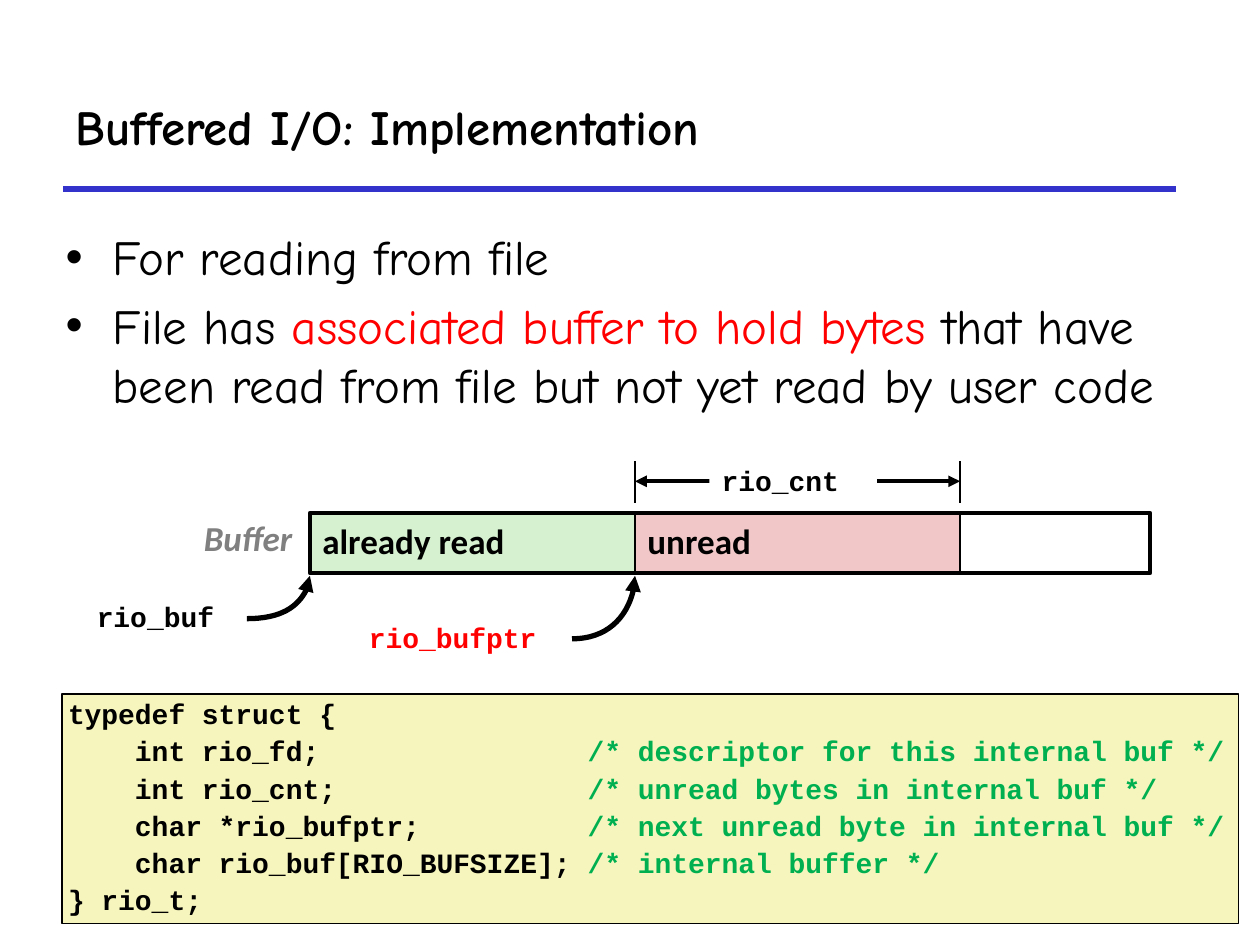
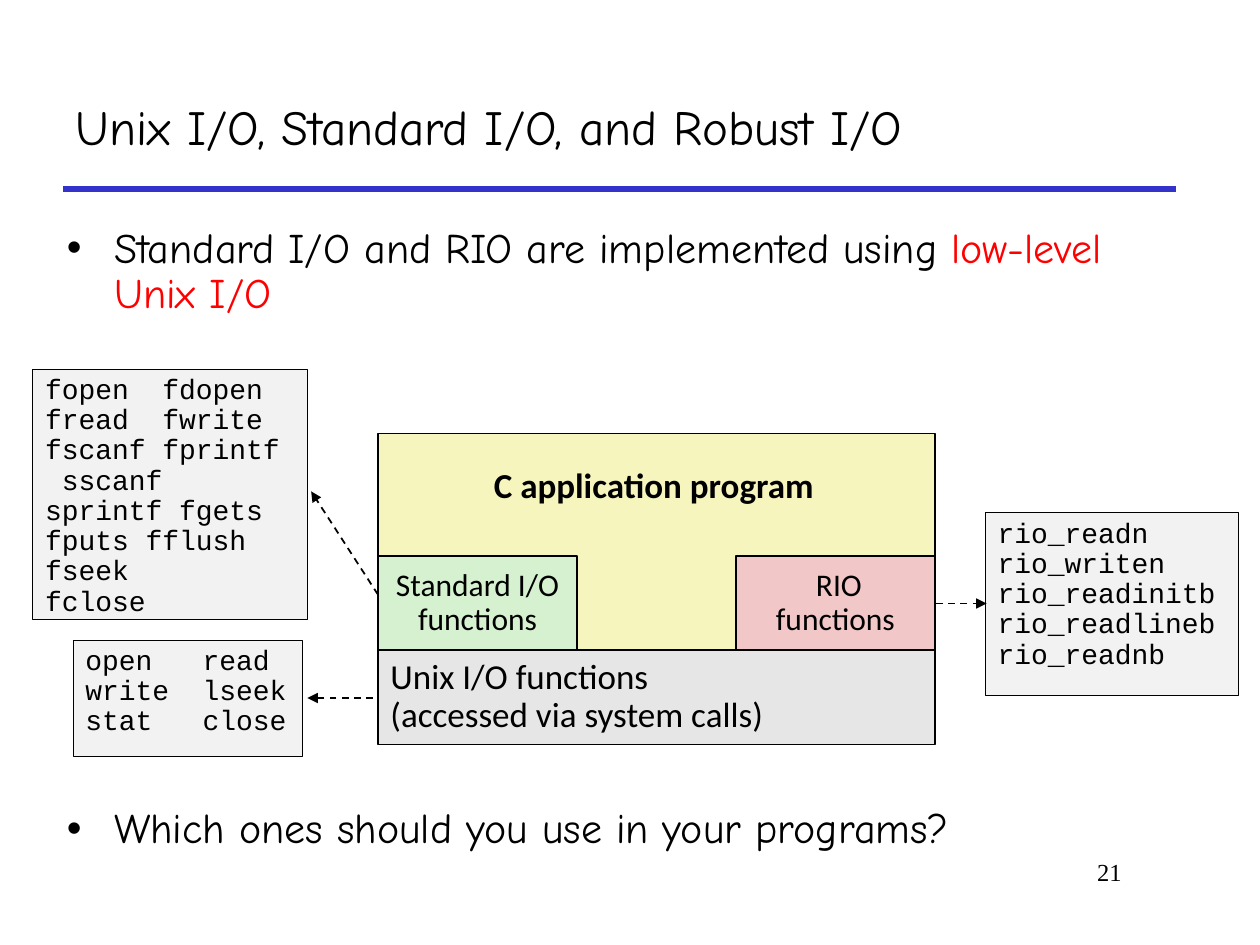
from lxml import etree
from pptx import Presentation
from pptx.dml.color import RGBColor
from pptx.enum.dml import MSO_LINE
from pptx.enum.shapes import MSO_CONNECTOR, MSO_SHAPE
from pptx.enum.text import MSO_ANCHOR, MSO_AUTO_SIZE, PP_ALIGN
from pptx.oxml.ns import qn
from pptx.util import Inches, Pt

STRAIGHT = MSO_CONNECTOR.STRAIGHT
RECT = MSO_SHAPE.RECTANGLE
DASH = MSO_LINE.DASH
TOP, MIDDLE = MSO_ANCHOR.TOP, MSO_ANCHOR.MIDDLE
LEFT, CENTER, RIGHT = PP_ALIGN.LEFT, PP_ALIGN.CENTER, PP_ALIGN.RIGHT
NO_FIT = MSO_AUTO_SIZE.NONE

BLACK = RGBColor(0x00, 0x00, 0x00)
WHITE = RGBColor(0xFF, 0xFF, 0xFF)
RED = RGBColor(0xFF, 0x00, 0x00)
BLUE = RGBColor(0x33, 0x33, 0xCC)
GRAY = RGBColor(0x80, 0x80, 0x80)
COMMENT = RGBColor(0x00, 0xB0, 0x50)
GREEN_FILL = RGBColor(0xD5, 0xF1, 0xCF)
PINK_FILL = RGBColor(0xF1, 0xC7, 0xC7)
YELLOW_FILL = RGBColor(0xF6, 0xF5, 0xBD)
GRAY_FILL = RGBColor(0xE6, 0xE6, 0xE6)
LIGHT_FILL = RGBColor(0xF2, 0xF2, 0xF2)

HAND, SANS, MONO, SERIF = "Comic Neue", "Calibri", "Courier New", "Times New Roman"
CODE_COLUMN = 31


def add_runs(p, runs, font, size, color=BLACK, bold=False, italic=False):
    """Add runs, each a string or a (string, colour) pair."""
    for run in runs:
        text, run_color = (run, color) if isinstance(run, str) else run
        r = p.add_run()
        r.text = text
        r.font.name, r.font.size = font, Pt(size)
        r.font.bold, r.font.italic = bold, italic
        r.font.color.rgb = run_color


def paragraphs(tf, count):
    """Yield count paragraphs of a text frame, starting with its first."""
    for i in range(count):
        yield tf.paragraphs[0] if i == 0 else tf.add_paragraph()


def add_text(s, lines, font, size, align=LEFT, anchor=TOP, wrap=False,
             spacing=0.9, before=0, inset=0.1, **style):
    """Fill a shape with one paragraph per line, each a list of runs."""
    tf = s.text_frame
    tf.word_wrap, tf.auto_size, tf.vertical_anchor = wrap, NO_FIT, anchor
    tf.margin_left = tf.margin_right = Inches(inset)
    for p, runs in zip(paragraphs(tf, len(lines)), lines):
        p.alignment, p.line_spacing = align, spacing
        p.space_before = Pt(before)
        add_runs(p, runs, font, size, **style)


def add_label(slide, at, text, font, size, **style):
    """Add a one-line text box."""
    s = slide.shapes.add_textbox(*map(Inches, at))
    add_text(s, [[text]], font, size, **style)


def add_box(slide, at, fill=None, width=1):
    """Add a rectangle; a width of 0 means no outline."""
    s = slide.shapes.add_shape(RECT, *map(Inches, at))
    s.shadow.inherit = False
    if fill is None:
        s.fill.background()
    else:
        s.fill.solid()
        s.fill.fore_color.rgb = fill
    if width:
        s.line.color.rgb, s.line.width = BLACK, Pt(width)
    else:
        s.line.fill.background()
    return s


def add_arrowheads(s, ends):
    """Put triangles on the named line ends."""
    ln = s._element.spPr.find(qn("a:ln"))
    for end in ends:
        etree.SubElement(ln, qn("a:" + end), type="triangle")


def add_line(slide, start, stop, width, color=BLACK, dash=None, ends=()):
    """Add a straight line with optional dashes and arrowheads."""
    s = slide.shapes.add_connector(STRAIGHT, *map(Inches, (*start, *stop)))
    s.line.color.rgb, s.line.width = color, Pt(width)
    if dash:
        s.line.dash_style = dash
    add_arrowheads(s, ends)
    etree.SubElement(s._element.spPr, qn("a:effectLst"))


def add_curved_pointer(slide, tip, tail):
    """Add a quarter-ellipse arrow that rises from tail to tip."""
    (x1, y1), (x2, y2) = tip, tail
    points = [(x1, y1 + 0.55 * (y2 - y1)), (x2 + 0.55 * (x1 - x2), y2), tail]
    builder = slide.shapes.build_freeform(Inches(x1), Inches(y1))
    builder.add_line_segments([(Inches(x), Inches(y)) for x, y in points], close=False)
    s = builder.convert_to_shape()
    outline = s._element.find(".//" + qn("a:path"))
    curve = etree.Element(qn("a:cubicBezTo"))
    for segment in outline.findall(qn("a:lnTo")):
        curve.append(segment[0])
        outline.remove(segment)
    outline.append(curve)
    s.shadow.inherit = False
    s.fill.background()
    s.line.color.rgb, s.line.width = BLACK, Pt(3)
    add_arrowheads(s, ["headEnd"])


def add_slide(prs, title, bold=False):
    """Add a slide with the shared title style and rule."""
    slide = prs.slides.add_slide(prs.slide_layouts[1])
    s = slide.shapes.title
    s.left, s.top, s.width, s.height = map(Inches, (0.5, 0.5, 8.83, 1))
    add_text(s, [[title]], HAND, 28, anchor=MIDDLE, wrap=True, spacing=1, bold=bold)
    add_line(slide, (0.5, 1.5), (9.33, 1.5), 3, BLUE)
    return slide


def add_bullets(slide, at, items, size, spacing=1, gap=None):
    """Fill the body placeholder; gap is the space before the last item."""
    s = slide.placeholders[1]
    s.left, s.top, s.width, s.height = map(Inches, at)
    tf = s.text_frame
    tf.auto_size = NO_FIT
    for p, runs in zip(paragraphs(tf, len(items)), items):
        p.line_spacing = spacing
        add_runs(p, runs, HAND, size)
    if gap:
        p.space_before = Pt(gap)


def add_buffer_diagram(slide):
    """Draw the buffer with its parts, counter and pointers."""
    left, top, part, height = 2.46, 4.07, 2.58, 0.48
    split, end = left + part, left + 2 * part
    for x, text, fill in ((split, "unread", PINK_FILL), (left, "already read", GREEN_FILL)):
        s = add_box(slide, (x, top, part, height), fill, 1.5)
        add_text(s, [[text]], SANS, 20, anchor=MIDDLE, before=4, bold=True)
    add_box(slide, (left, top, 6.67, height), width=2.25)
    add_label(slide, (1.52, 4.09, 0.93, 0.44), "Buffer", SANS, 20,
              before=4, color=GRAY, bold=True, italic=True)
    add_curved_pointer(slide, (left, 4.57), (1.96, 4.91))
    add_curved_pointer(slide, (split, 4.57), (4.54, 5.07))
    add_label(slide, (0.67, 4.74, 1.14, 0.34), "rio_buf", MONO, 16, before=3.2, bold=True)
    add_label(slide, (2.83, 4.91, 1.75, 0.34), "rio_bufptr", MONO, 16,
              before=3.2, color=RED, bold=True)
    for x in (split, end):
        add_line(slide, (x, 3.99), (x, 3.66), 1.5)
    add_line(slide, (split, 3.82), (end, 3.82), 2.25, ends=("headEnd", "tailEnd"))
    s = add_box(slide, (5.63, 3.66, 1.33, 0.34), WHITE, 0)
    add_text(s, [["rio_cnt"]], MONO, 16, before=3.2, bold=True)


def add_struct(slide):
    """Add the code panel with aligned comments."""
    fields = [
        ("int rio_fd;", "/* descriptor for this internal buf */"),
        ("int rio_cnt;", "/* unread bytes in internal buf */"),
        ("char *rio_bufptr;", "/* next unread byte in internal buf */"),
        ("char rio_buf[RIO_BUFSIZE];", "/* internal buffer */"),
    ]
    body = [[("    " + code).ljust(CODE_COLUMN), (note, COMMENT)] for code, note in fields]
    s = add_box(slide, (0.49, 5.51, 9.34, 1.82), YELLOW_FILL)
    add_text(s, [["typedef struct {"], *body, ["} rio_t;"]], MONO, 16,
             before=4, inset=0.05, bold=True)


def add_layers(slide):
    """Draw the application and the I/O layers it rests on."""
    left, width, layer, part = 3, 4.42, 0.75, 1.58
    add_box(slide, (left, 3.44, width, 1.73), YELLOW_FILL)
    s = add_box(slide, (left, 5.16, width, layer), GRAY_FILL)
    add_text(s, [["Unix I/O functions "], ["(accessed via system calls)"]],
             SANS, 20, anchor=MIDDLE)
    add_label(slide, (3.81, 3.67, 2.76, 0.44), "C application program", SANS, 20,
              align=CENTER, before=4, bold=True)
    for x, name, fill in ((left, " Standard I/O ", GREEN_FILL),
                          (left + width - part, " RIO", PINK_FILL)):
        s = add_box(slide, (x, 4.41, part, layer), fill)
        add_text(s, [[name], ["functions"]], SANS, 18, align=CENTER, anchor=MIDDLE)


def add_function_lists(slide):
    """Add the lists of function names and the arrows to them."""
    lists = [
        ((0.26, 2.93, 2.18, 1.99), True,
         ["fopen  fdopen",
          "fread  fwrite fscanf fprintf  sscanf sprintf fgets  fputs fflush fseek",
          "fclose"]),
        ((0.58, 5.08, 1.82, 0.92), False,
         ["open   read", "write  lseek", "stat   close"]),
        ((7.82, 4.07, 2.01, 1.45), True,
         ["rio_readn", "rio_writen", "rio_readinitb", "rio_readlineb", "rio_readnb"]),
    ]
    for at, wrap, names in lists:
        s = add_box(slide, at, LIGHT_FILL, 0.5)
        add_text(s, [[name] for name in names], MONO, 16, wrap=wrap)
    for start, stop in (((2.96, 5.54), (2.44, 5.54)),
                        ((3, 4.72), (2.47, 3.9)),
                        ((7.43, 4.79), (7.83, 4.79))):
        add_line(slide, start, stop, 1, dash=DASH, ends=["tailEnd"])


def main():
    """Build both slides and save them."""
    prs = Presentation()
    prs.slide_width, prs.slide_height = Inches(10), Inches(7.5)

    slide = add_slide(prs, "Buffered I/O: Implementation", bold=True)
    add_bullets(slide, (0.42, 1.75, 9.09, 4.33), [
        ["For reading from file"],
        ["File has ", ("associated buffer to hold bytes", RED),
         " that have been read from file but not yet read by user code"],
    ], 28)
    add_buffer_diagram(slide)
    add_struct(slide)

    slide = add_slide(prs, "Unix I/O, Standard I/O, and Robust I/O")
    add_bullets(slide, (0.43, 1.75, 9.09, 4.91), [
        ["Standard I/O and RIO are implemented using ", ("low-level Unix I/O", RED)],
        ["Which ones should you use in your programs?"],
    ], 24, spacing=0.9, gap=280)
    add_layers(slide)
    add_function_lists(slide)
    add_label(slide, (7.58, 6.75, 1.42, 0.5), "21", SERIF, 14,
              align=RIGHT, wrap=True, spacing=1)
    prs.save("out.pptx")


main()
